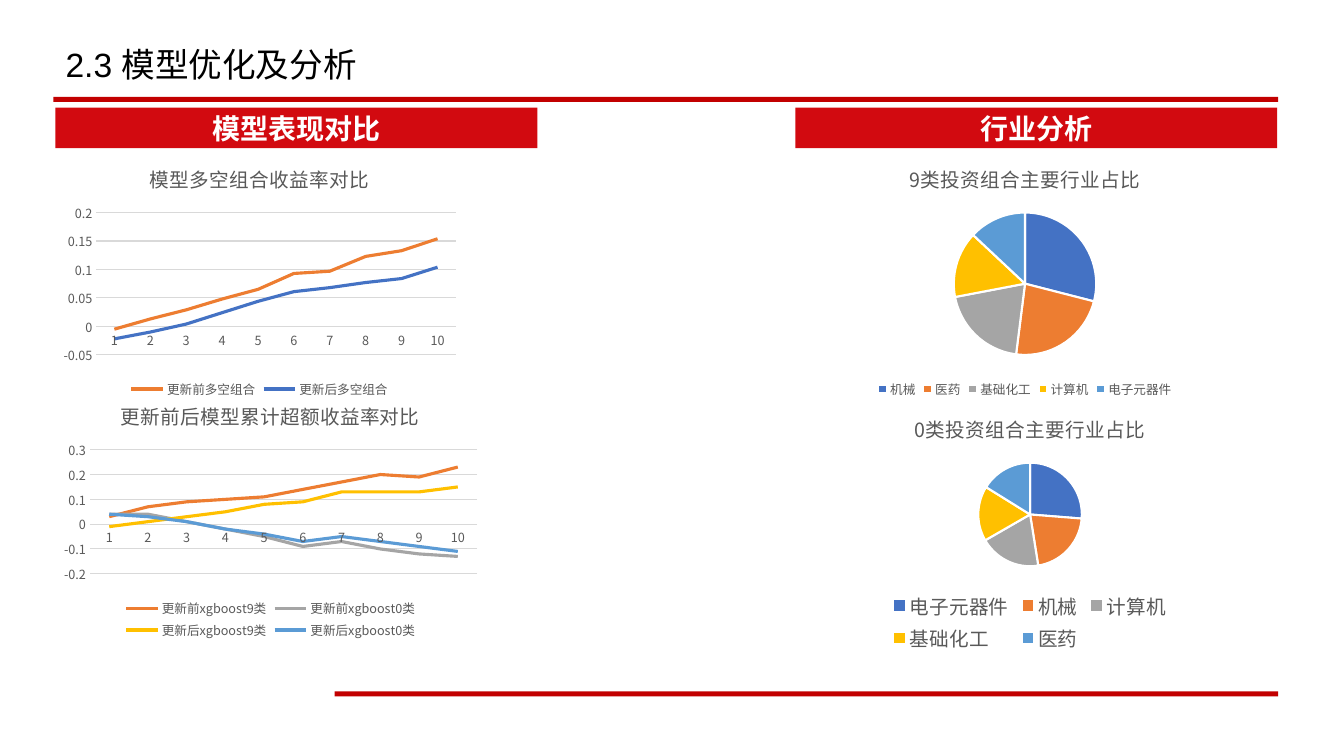
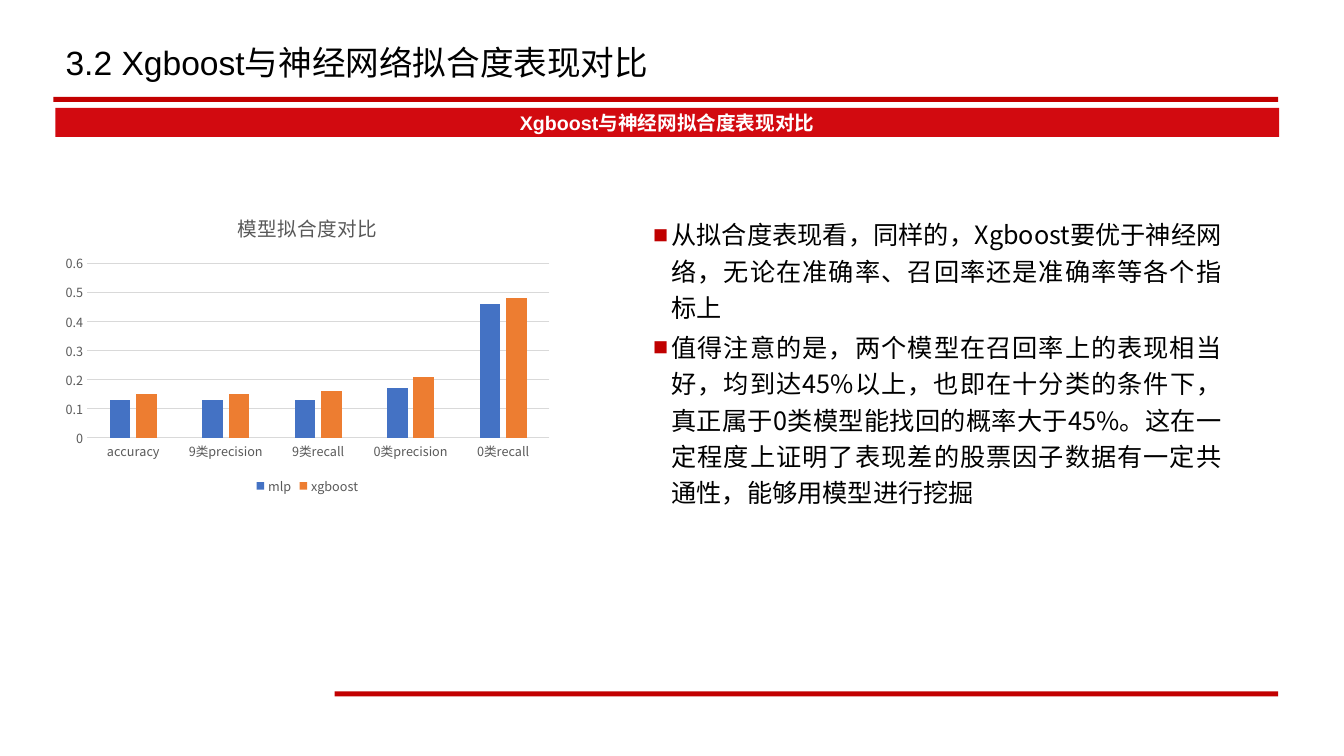
from dataclasses import dataclass

from lxml.etree import SubElement
from pptx import Presentation
from pptx.chart.chart import Chart
from pptx.chart.data import CategoryChartData
from pptx.dml.color import RGBColor
from pptx.enum.chart import XL_CHART_TYPE, XL_LEGEND_POSITION, XL_MARKER_STYLE, XL_TICK_MARK
from pptx.enum.shapes import MSO_SHAPE
from pptx.enum.text import MSO_ANCHOR, MSO_AUTO_SIZE, PP_ALIGN
from pptx.oxml.ns import qn
from pptx.slide import Slide
from pptx.text.text import TextFrame
from pptx.util import Pt


@dataclass(frozen=True)
class Theme:
    rule: str = "C20000"
    band: str = "D20A10"
    bullet: str = "C00000"
    ink: str = "000000"
    paper: str = "FFFFFF"
    label: str = "595959"
    grid: str = "D9D9D9"
    blue: str = "4472C4"
    orange: str = "ED7D31"
    grey: str = "A5A5A5"
    gold: str = "FFC000"
    sky: str = "5B9BD5"
    latin_font: str = "Arial"
    cjk_font: str = "Noto Sans CJK SC"
    title_size: int = 24
    band_size: int = 20
    slim_band_size: int = 14
    body_size: int = 18
    chart_title_size: int = 14
    label_size: int = 9


THEME = Theme()
SLICE_COLORS = (THEME.blue, THEME.orange, THEME.grey, THEME.gold, THEME.sky)
DECILES = tuple(str(n) for n in range(1, 11))
LEFT = 39.6
BAND_TOP = 77


@dataclass(frozen=True)
class Box:
    left: float
    top: float
    width: float
    height: float

    def lengths(self) -> tuple[Pt, Pt, Pt, Pt]:
        return Pt(self.left), Pt(self.top), Pt(self.width), Pt(self.height)


@dataclass(frozen=True)
class Band:
    text: str
    box: Box
    size: int


@dataclass(frozen=True)
class Series:
    name: str
    values: tuple[float, ...]
    color: str = ""


@dataclass(frozen=True)
class ChartSpec:
    title: str
    kind: XL_CHART_TYPE
    box: Box
    categories: tuple[str, ...]
    series: tuple[Series, ...]
    scale: tuple[float, float, float] = (0, 1, 0.1)
    legend_size: int = THEME.label_size


RULES = (Box(38.2, 69.1, 874.8, 3.6), Box(239.1, 493.9, 673.9, 3.6))

COMPARISON_BANDS = (
    Band("模型表现对比", Box(LEFT, BAND_TOP, 344.2, 28.8), THEME.band_size),
    Band("行业分析", Box(568.1, BAND_TOP, 344.2, 28.8), THEME.band_size),
)
FIT_BAND = Band("Xgboost与神经网拟合度表现对比", Box(LEFT, BAND_TOP, 874.1, 20.9),
                THEME.slim_band_size)

COMPARISON_CHARTS = (
    ChartSpec(
        "更新前后模型累计超额收益率对比", XL_CHART_TYPE.LINE, Box(LEFT, 275, 307.4, 184.3), DECILES,
        (
            Series("更新前xgboost9类",
                   (0.03, 0.07, 0.09, 0.1, 0.11, 0.14, 0.17, 0.2, 0.19, 0.23), THEME.orange),
            Series("更新前xgboost0类",
                   (0.04, 0.04, 0.01, -0.02, -0.05, -0.09, -0.07, -0.1, -0.12, -0.13), THEME.grey),
            Series("更新后xgboost9类",
                   (-0.01, 0.01, 0.03, 0.05, 0.08, 0.09, 0.13, 0.13, 0.13, 0.15), THEME.gold),
            Series("更新后xgboost0类",
                   (0.04, 0.03, 0.01, -0.02, -0.04, -0.07, -0.05, -0.07, -0.09, -0.11), THEME.sky),
        ),
        scale=(-0.2, 0.3, 0.1),
    ),
    ChartSpec(
        "模型多空组合收益率对比", XL_CHART_TYPE.LINE, Box(LEFT, 105.8, 291.6, 181.4), DECILES,
        (
            Series("更新前多空组合",
                   (-0.005, 0.013, 0.029, 0.048, 0.065, 0.093, 0.097, 0.123, 0.133, 0.154),
                   THEME.orange),
            Series("更新后多空组合",
                   (-0.022, -0.01, 0.004, 0.024, 0.044, 0.061, 0.068, 0.077, 0.084, 0.104),
                   THEME.blue),
        ),
        scale=(-0.05, 0.2, 0.05),
    ),
    ChartSpec(
        "0类投资组合主要行业占比", XL_CHART_TYPE.PIE, Box(558.7, 284.4, 354.2, 184.3),
        ("电子元器件", "机械", "计算机", "基础化工", "医药"),
        (Series("占比", (26, 21, 19, 17, 16)),), legend_size=14,
    ),
    ChartSpec(
        "9类投资组合主要行业占比", XL_CHART_TYPE.PIE, Box(552.2, 105.8, 360, 181.4),
        ("机械", "医药", "基础化工", "计算机", "电子元器件"),
        (Series("占比", (29, 23, 20, 15, 13)),),
    ),
)
FIT_CHART = ChartSpec(
    "模型拟合度对比", XL_CHART_TYPE.COLUMN_CLUSTERED, Box(LEFT, 140.4, 360, 216),
    ("accuracy", "9类precision", "9类recall", "0类precision", "0类recall"),
    (
        Series("mlp", (0.13, 0.13, 0.13, 0.17, 0.46), THEME.blue),
        Series("xgboost", (0.15, 0.15, 0.16, 0.21, 0.48), THEME.orange),
    ),
    scale=(0, 0.6, 0.1),
)
FINDINGS = (
    "从拟合度表现看，同样的，Xgboost要优于神经网络，无论在准确率、召回率还是准确率等各个指标上",
    "值得注意的是，两个模型在召回率上的表现相当好，均到达45%以上，也即在十分类的条件下，"
    "真正属于0类模型能找回的概率大于45%。这在一定程度上证明了表现差的股票因子数据有一定共通性，"
    "能够用模型进行挖掘",
)


def rgb(color: str) -> RGBColor:
    return RGBColor.from_string(color)


def set_east_asian_font(root) -> None:
    """Pair every Latin typeface under root with the CJK one."""
    for latin in list(root.iter(qn("a:latin"))):
        east_asian = SubElement(latin.getparent(), qn("a:ea"), typeface=THEME.cjk_font)
        latin.addnext(east_asian)


def write_text(frame: TextFrame, *paragraphs: str, size: int, color: str = THEME.ink,
               font: str = THEME.latin_font, bold: bool = False,
               align: PP_ALIGN = PP_ALIGN.LEFT, anchor: MSO_ANCHOR = MSO_ANCHOR.TOP,
               line_spacing: float = 1.0, space_before: float = 0,
               insets: tuple[float, float] = (7.2, 3.6)) -> None:
    frame.word_wrap = True
    frame.vertical_anchor = anchor
    frame.margin_left = frame.margin_right = Pt(insets[0])
    frame.margin_top = frame.margin_bottom = Pt(insets[1])
    for index, text in enumerate(paragraphs):
        paragraph = frame.add_paragraph() if index else frame.paragraphs[0]
        paragraph.alignment = align
        paragraph.line_spacing = line_spacing
        paragraph.space_before = Pt(space_before)
        run = paragraph.add_run()
        run.text = text
        run.font.size, run.font.bold, run.font.name = Pt(size), bold, font
        run.font.color.rgb = rgb(color)


def add_block(slide: Slide, box: Box, color: str):
    block = slide.shapes.add_shape(MSO_SHAPE.RECTANGLE, *box.lengths())
    block.shadow.inherit = False
    block.fill.solid()
    block.fill.fore_color.rgb = rgb(color)
    block.line.fill.background()
    return block


def add_titled_slide(deck, heading: str, title_top: float) -> Slide:
    slide = deck.slides.add_slide(deck.slide_layouts[5])
    for rule in RULES:
        add_block(slide, rule, THEME.rule)
    title = slide.shapes.title
    title.left, title.top, title.width, title.height = Box(LEFT, title_top, 691.2, 47.5).lengths()
    write_text(title.text_frame, heading, size=THEME.title_size, line_spacing=0.9, space_before=10)
    title.text_frame.auto_size = MSO_AUTO_SIZE.NONE
    set_east_asian_font(title.element)
    return slide


def add_band(slide: Slide, band: Band) -> None:
    block = add_block(slide, band.box, THEME.band)
    write_text(block.text_frame, band.text, size=band.size, color=THEME.paper, bold=True,
               align=PP_ALIGN.CENTER, anchor=MSO_ANCHOR.MIDDLE, insets=(7.2, 0))
    set_east_asian_font(block.element)


def style_axes(chart: Chart, scale: tuple[float, float, float]) -> None:
    values, categories = chart.value_axis, chart.category_axis
    values.minimum_scale, values.maximum_scale, values.major_unit = scale
    values.tick_labels.number_format = "General"
    values.tick_labels.number_format_is_linked = False
    values.format.line.fill.background()
    for line in (values.major_gridlines.format.line, categories.format.line):
        line.color.rgb = rgb(THEME.grid)
        line.width = Pt(0.75)
    for axis in (values, categories):
        axis.major_tick_mark = axis.minor_tick_mark = XL_TICK_MARK.NONE


def color_series(chart: Chart, spec: ChartSpec) -> None:
    plot = chart.plots[0]
    if spec.kind == XL_CHART_TYPE.PIE:
        plot.vary_by_categories = True
        for index, color in enumerate(SLICE_COLORS):
            piece = plot.series[0].points[index].format
            piece.fill.solid()
            piece.fill.fore_color.rgb = rgb(color)
            piece.line.color.rgb = rgb(THEME.paper)
            piece.line.width = Pt(1.5)
        return
    plot.vary_by_categories = False
    for drawn, series in zip(plot.series, spec.series):
        if spec.kind == XL_CHART_TYPE.LINE:
            drawn.smooth = False
            drawn.marker.style = XL_MARKER_STYLE.NONE
            drawn.format.line.color.rgb = rgb(series.color)
            drawn.format.line.width = Pt(2.25)
        else:
            drawn.format.fill.solid()
            drawn.format.fill.fore_color.rgb = rgb(series.color)
    if spec.kind == XL_CHART_TYPE.COLUMN_CLUSTERED:
        plot.gap_width, plot.overlap = 219, -27
    style_axes(chart, spec.scale)


def add_chart(slide: Slide, spec: ChartSpec) -> None:
    data = CategoryChartData()
    data.categories = spec.categories
    for series in spec.series:
        data.add_series(series.name, series.values)
    chart = slide.shapes.add_chart(spec.kind, *spec.box.lengths(), data).chart
    chart.has_title = chart.has_legend = True
    chart.legend.position = XL_LEGEND_POSITION.BOTTOM
    chart.legend.include_in_layout = False
    for font, size in ((chart.font, THEME.label_size), (chart.legend.font, spec.legend_size)):
        font.name, font.size = THEME.cjk_font, Pt(size)
        font.color.rgb = rgb(THEME.label)
    heading = chart.chart_title.text_frame.paragraphs[0].add_run()
    heading.text = spec.title
    heading.font.name, heading.font.size = THEME.cjk_font, Pt(THEME.chart_title_size)
    heading.font.bold = False
    heading.font.color.rgb = rgb(THEME.label)
    color_series(chart, spec)
    set_east_asian_font(chart.element)


def add_findings(slide: Slide, box: Box) -> None:
    findings = slide.shapes.add_textbox(*box.lengths())
    write_text(findings.text_frame, *FINDINGS, size=THEME.body_size, font=THEME.cjk_font,
               align=PP_ALIGN.JUSTIFY, line_spacing=1.2, space_before=2.7, insets=(6.5, 2.9))
    findings.text_frame.auto_size = MSO_AUTO_SIZE.SHAPE_TO_FIT_TEXT
    for properties in findings.element.iter(qn("a:pPr")):
        properties.set("marL", str(Pt(13)))
        properties.set("indent", str(Pt(-13)))
        SubElement(SubElement(properties, qn("a:buClr")), qn("a:srgbClr"), val=THEME.bullet)
        SubElement(properties, qn("a:buSzPct"), val="60000")
        SubElement(properties, qn("a:buFont"), typeface=THEME.cjk_font)
        SubElement(properties, qn("a:buChar"), char="■")
    set_east_asian_font(findings.element)


def main() -> None:
    deck = Presentation()
    deck.slide_width, deck.slide_height = Pt(960), Pt(540)

    comparison = add_titled_slide(deck, "2.3 模型优化及分析", 31)
    for spec in COMPARISON_CHARTS:
        add_chart(comparison, spec)
    for band in COMPARISON_BANDS:
        add_band(comparison, band)

    fit = add_titled_slide(deck, "3.2 Xgboost与神经网络拟合度表现对比", 29.5)
    add_band(fit, FIT_BAND)
    add_chart(fit, FIT_CHART)
    add_findings(fit, Box(460.1, 149.8, 419, 218.9))

    deck.save("out.pptx")


if __name__ == "__main__":
    main()
